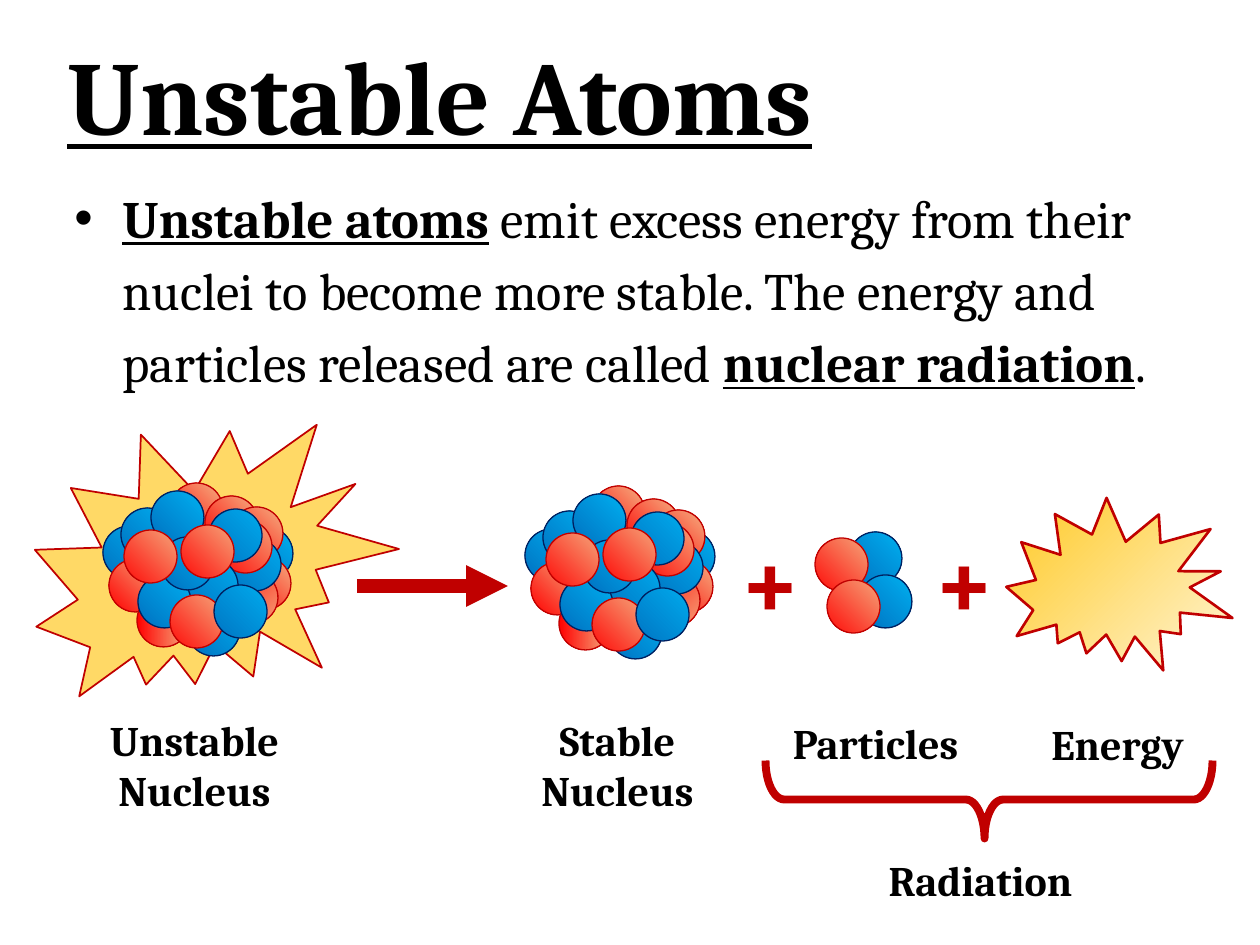
"""Build the slide on unstable atoms and nuclear radiation."""
from lxml.etree import SubElement
from pptx import Presentation
from pptx.dml.color import RGBColor
from pptx.enum.shapes import MSO_CONNECTOR as Conn, MSO_SHAPE as Kind
from pptx.enum.text import MSO_AUTO_SIZE as Auto, PP_ALIGN as Align
from pptx.oxml.ns import qn
from pptx.util import Pt

SCALE = 914400 / 126
FONT, RED, BALL, TURN = "Cambria", "C00000", 53, 169.4

TITLE = "Unstable Atoms"
BODY = [
    ("Unstable atoms", True, True),
    (" ", True, False),
    ("emit excess energy from their nuclei to become more stable. "
     "The energy and particles released are called ", False, False),
    ("nuclear radiation", True, True),
    (".", False, False),
]
LABELS = [
    ("Unstable Nucleus", 93, 708, 203, 115),
    ("Stable Nucleus", 490, 708, 255, 115),
    ("Particles", 748, 711, 255, 63),
    ("Energy", 990, 712, 255, 63),
    ("Radiation", 853, 848, 255, 63),
]
PLUSES = [727, 921]
TONES = {"n": ("0070C0", "00B0F0", "002060"), "p": ("FF0000", "F4B183", RED)}
# kind, left, top, rotation, gradient angle
NUCLEUS = [
    ("n", 137, 44, 0, 45), ("p", 135, 74, 0, 45), ("p", 67, 0, 0, 45),
    ("n", 84, 120, 0, 45), ("p", 102, 13, 0, 45), ("p", 127, 24, 0, 45),
    ("n", 0, 43, 0, 45), ("n", 18, 25, 0, 45), ("n", 48, 8, 0, 45),
    ("p", 6, 76, 0, 45), ("p", 34, 111, 0, 0), ("p", 122, 88, 17.6, 315),
    ("n", 125, 55, TURN, 45), ("p", 116, 37, TURN, 45),
    ("n", 106, 26, TURN, 45), ("n", 82, 76, TURN, 45),
    ("n", 35, 92, 0, 45), ("p", 67, 112, TURN, 45),
    ("n", 111, 102, TURN, 45), ("n", 58, 54, 0, 45),
    ("p", 21, 47, TURN, 45), ("p", 78, 42, TURN, 45),
]
ALPHA = [
    ("n", 34, 0, 0, 45), ("n", 44, 43, 0, 45),
    ("p", 0, 6, TURN, 45), ("p", 12, 48, TURN, 45),
]


def px(n):
    return round(n * SCALE)


def tint(color, code):
    color.rgb = RGBColor.from_string(code)


def shape(home, kind, box, edge, width, turn=0):
    item = home.add_shape(kind, *map(px, box))
    item.shadow.inherit = False
    item.rotation = turn
    tint(item.line.color, edge)
    item.line.width = Pt(width)
    return item


def fade(item, start, end, angle=0):
    item.fill.gradient()
    item.fill.gradient_angle = angle
    for stop, code in zip(item.fill.gradient_stops, (start, end)):
        tint(stop.color, code)
    grad = item._element.spPr.find(qn("a:gradFill"))
    grad.set("rotWithShape", "0")
    return grad


def cluster(home, left, top, balls):
    for kind, x, y, turn, angle in balls:
        start, end, edge = TONES[kind]
        box = left + x, top + y, BALL, BALL
        fade(shape(home, Kind.OVAL, box, edge, 0.75, turn), start, end, angle)


def text(home, box, runs, size, code="000000", align=None, grow=False):
    frame = home.add_textbox(*map(px, box)).text_frame
    frame.word_wrap = True
    if grow:
        frame.auto_size = Auto.SHAPE_TO_FIT_TEXT
    para = frame.paragraphs[0]
    para.alignment = align
    for words, bold, under in runs:
        run = para.add_run()
        run.text = words
        font = run.font
        font.name, font.size = FONT, Pt(size)
        font.bold, font.underline = bold, under
        tint(font.color, code)
    return para


def indent(para, left):
    props = para._p.get_or_add_pPr()
    props.set("marL", str(px(left)))
    props.set("indent", str(px(-left)))
    return props


def main():
    deck = Presentation()
    deck.slide_width, deck.slide_height = px(1260), px(945)
    home = deck.slides.add_slide(deck.slide_layouts[6]).shapes

    burst = shape(home, Kind.EXPLOSION2, (37, 403, 352, 323), RED, 1, 14.7)
    burst.fill.solid()
    tint(burst.fill.fore_color, "FFD966")

    para = text(home, (62, 170, 1150, 227), BODY, 30, grow=True)
    para.line_spacing = 1.15
    props = indent(para, 48)
    SubElement(props, qn("a:buFont")).set("typeface", "Arial")
    SubElement(props, qn("a:buChar")).set("char", "•")

    para = text(home, (55, 39, 1105, 273), [(TITLE, True, True)], 60)
    para.line_spacing = 0.9
    indent(para, 24)

    for left, top in ((103, 483), (525, 486)):
        cluster(home.add_group_shape().shapes, left, top, NUCLEUS)

    arrow = home.add_connector(Conn.STRAIGHT, *map(px, (357, 586, 508, 586)))
    tint(arrow.line.color, RED)
    arrow.line.width = Pt(8)
    SubElement(arrow.line._get_or_add_ln(), qn("a:tailEnd")).set("type", "triangle")
    SubElement(arrow._element.spPr, qn("a:effectLst"))

    energy = shape(home, Kind.EXPLOSION2, (1013, 489, 217, 198), RED, 1.5, 34.5)
    grad = fade(energy, "FFFFFF", "FFC000")
    grad.remove(grad.find(qn("a:lin")))
    glow = SubElement(grad, qn("a:path"))
    glow.set("path", "circle")
    focus = SubElement(glow, qn("a:fillToRect"))
    for side in "lt":
        focus.set(side, "100000")

    cluster(home, 815, 532, ALPHA)

    for left in PLUSES:
        text(home, (left, 507, 77, 118), [("+", True, False)], 60, RED, Align.CENTER)
    for words, *box in LABELS:
        text(home, box, [(words, True, False)], 24, align=Align.CENTER, grow=True)

    brace = shape(home, Kind.LEFT_BRACE, (950, 576, 78, 447), RED, 4.5, 270)
    brace.fill.background()
    brace.adjustments[0], brace.adjustments[1] = 0.24, 0.49

    deck.save("out.pptx")


if __name__ == "__main__":
    main()
